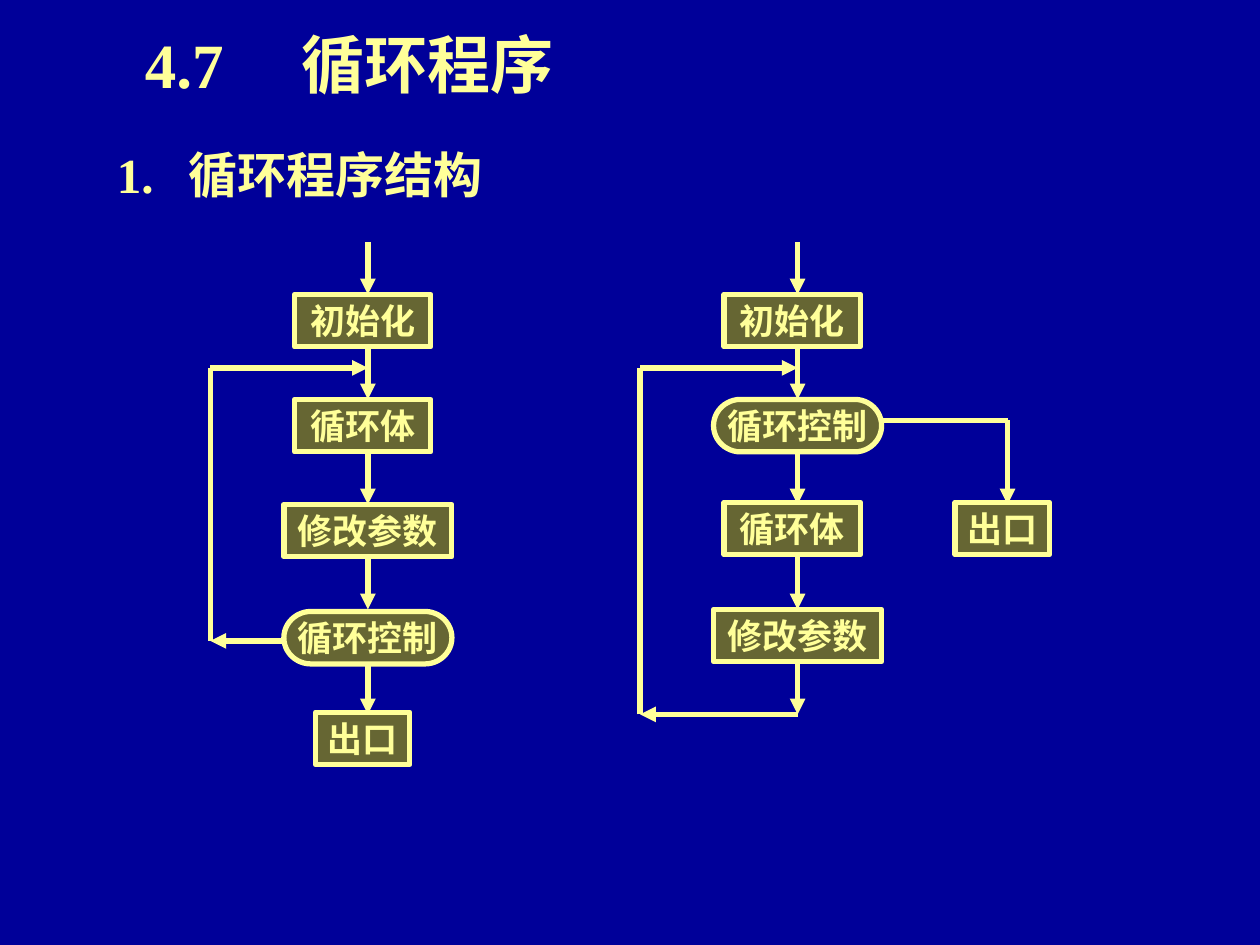
from lxml import etree
from pptx import Presentation
from pptx.dml.color import RGBColor
from pptx.enum.shapes import MSO_CONNECTOR, MSO_SHAPE
from pptx.enum.text import MSO_ANCHOR, PP_ALIGN
from pptx.oxml.ns import qn
from pptx.util import Inches, Pt

RECTANGLE = MSO_SHAPE.RECTANGLE
TERMINATOR = MSO_SHAPE.FLOWCHART_TERMINATOR
STRAIGHT = MSO_CONNECTOR.STRAIGHT
MIDDLE, TOP = MSO_ANCHOR.MIDDLE, MSO_ANCHOR.TOP
CENTER = PP_ALIGN.CENTER

COLORS = {"background": "000099", "box": "666633", "accent": "FFFF99"}
FONT = "Times New Roman"
CELL = 5 / 12  # side of one square of the flowchart grid, in inches
SPINE = 3      # column of the main flow
LOOP_ROW = 2.4  # row where the loop rejoins the main flow

# Box style: shape, width and offset from the flow axis, in cells
WIDE = (RECTANGLE, 3.2, -1.6)
MEDIUM = (RECTANGLE, 2.6, -1.4)
NARROW = (RECTANGLE, 1.8, -1)
CONTROL = (TERMINATOR, 3.2, -1.6)

# Each step: text, style, column of its axis, top row
CHECK_LAST = {
    "steps": [
        ("初始化", MEDIUM, SPINE, 1),
        ("循环体", MEDIUM, SPINE, 3),
        ("修改参数", WIDE, SPINE, 5),
        ("循环控制", CONTROL, SPINE, 7.04),
        ("出口", NARROW, SPINE, 8.96),
    ],
    "loop_start": (SPINE - 1.6, 7.6),
    "exit_branch": [],
}
CHECK_FIRST = {
    "steps": [
        ("初始化", MEDIUM, SPINE, 1),
        ("循环控制", CONTROL, SPINE, 3),
        ("循环体", MEDIUM, SPINE, 4.96),
        ("修改参数", WIDE, SPINE, 7),
        ("出口", NARROW, 7, 4.96),
    ],
    "loop_start": (SPINE, 9),
    "exit_branch": [((SPINE + 1.6, 3.4), (7, 3.4), False),
                    ((7, 3.4), (7, 5), True)],
}


def color(name):
    return RGBColor.from_string(COLORS[name])


def set_font(paragraph, size):
    font = paragraph.font
    font.name, font.size, font.bold = FONT, Pt(size), True
    font.color.rgb = color("accent")


def add_heading(slide, box, number, text, size, indent, tab, anchor):
    """Number, then text at a tab stop; indent and tab are in inches."""
    text_box = slide.shapes.add_textbox(*(Inches(length) for length in box))
    frame = text_box.text_frame
    frame.word_wrap = True
    frame.vertical_anchor = anchor
    frame.margin_left = Inches(indent)
    paragraph = frame.paragraphs[0]
    paragraph.text = f"{number}\t{text}"
    properties = paragraph._p.get_or_add_pPr()
    tab_list = etree.SubElement(properties, qn("a:tabLst"))
    etree.SubElement(tab_list, qn("a:tab"), pos=str(Inches(tab)), algn="l")
    set_font(paragraph, size)


def add_step(shapes, place, text, style, column, row):
    kind, width, offset = style
    shape = shapes.add_shape(kind, *place(column + offset, row),
                             Inches(width * CELL), Inches(CELL))
    shape.shadow.inherit = False
    shape.fill.solid()
    shape.fill.fore_color.rgb = color("box")
    shape.line.color.rgb = color("accent")
    shape.line.width = Pt(3)
    frame = shape.text_frame
    frame.word_wrap = False
    frame.vertical_anchor = MIDDLE
    paragraph = frame.paragraphs[0]
    paragraph.text = text
    paragraph.alignment = CENTER
    set_font(paragraph, 20)


def add_line(shapes, place, start, end, arrow):
    connector = shapes.add_connector(STRAIGHT, *place(*start), *place(*end))
    connector.line.color.rgb = color("accent")
    connector.line.width = Pt(3)
    if arrow:
        etree.SubElement(connector.line._get_or_add_ln(), qn("a:tailEnd"),
                         type="triangle")
    etree.SubElement(connector._element.spPr, qn("a:effectLst"))


def add_flowchart(slide, left, top, chart):
    shapes = slide.shapes.add_group_shape().shapes

    def place(column, row):
        return Inches(left + column * CELL), Inches(top + row * CELL)

    for step in chart["steps"]:
        add_step(shapes, place, *step)

    flow = [((SPINE, row), (SPINE, row + 1), True) for row in range(0, 10, 2)]
    loop_start = chart["loop_start"]
    loop_corner = (0, loop_start[1])
    loop = [
        (loop_start, loop_corner, True),
        (loop_corner, (0, LOOP_ROW), False),
        ((0, LOOP_ROW), (SPINE, LOOP_ROW), True),
    ]
    for line in flow + loop + chart["exit_branch"]:
        add_line(shapes, place, *line)


def main():
    presentation = Presentation()
    presentation.slide_width, presentation.slide_height = Inches(10), Inches(7.5)
    slide = presentation.slides.add_slide(presentation.slide_layouts[6])
    slide.background.fill.solid()
    slide.background.fill.fore_color.rgb = color("background")

    add_heading(slide, (0.83, 1.1, 3.25, 0.57), "1.", "循环程序结构",
                28, 0.1, 0.57, TOP)
    add_flowchart(slide, 1.67, 1.92, CHECK_LAST)
    add_flowchart(slide, 5.08, 1.92, CHECK_FIRST)
    add_heading(slide, (0, 0, 5.58, 1), "4.7", "循环程序",
                36, 1.15, 1.24, MIDDLE)
    presentation.save("out.pptx")


if __name__ == "__main__":
    main()
